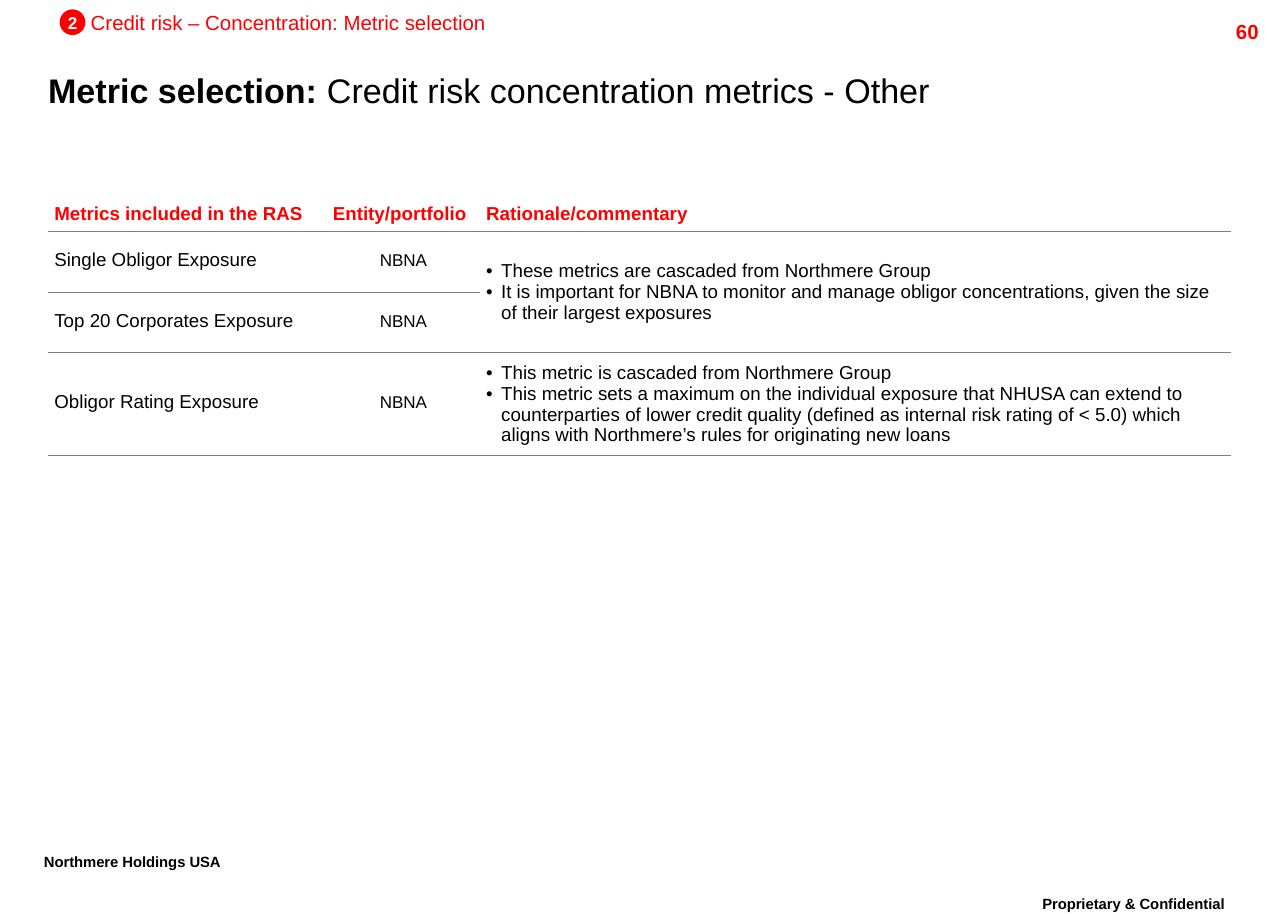
from lxml import etree
from pptx import Presentation
from pptx import util as u
from pptx.dml.color import RGBColor
from pptx.enum import shapes, text
from pptx.oxml import parse_xml
from pptx.oxml.ns import qn

Pt = u.Pt
RED, BLACK, WHITE, GREY = "FF0000", "000000", "FFFFFF", "7F7F7F"
NAMESPACE = 'xmlns:a="http://schemas.openxmlformats.org/drawingml/2006/main"'
NO_GRID_STYLE = "{2D5ABB26-0587-4C30-8999-92F81FD0307C}"


def color(hex_value):
    return RGBColor.from_string(hex_value)


def format_runs(paragraph, size, hex_value, bold=False):
    for run in paragraph.runs:
        run.font.name = "Arial"
        run.font.size = Pt(size)
        run.font.bold = bold
        run.font.color.rgb = color(hex_value)


presentation = Presentation()
presentation.slide_width = Pt(756)
presentation.slide_height = Pt(540)
slide = presentation.slides.add_slide(presentation.slide_layouts[5])

title = slide.shapes.title
title.left, title.top, title.width, title.height = Pt(21), Pt(40.5), Pt(735), Pt(28)
title.text_frame.text = "Metric selection: "
title.text_frame.vertical_anchor = text.MSO_ANCHOR.TOP
title.text_frame.auto_size = text.MSO_AUTO_SIZE.NONE
paragraph = title.text_frame.paragraphs[0]
paragraph.add_run().text = "Credit risk concentration metrics - Other"
paragraph.alignment = text.PP_ALIGN.LEFT
paragraph.line_spacing = 0.86
format_runs(paragraph, 20, BLACK)
paragraph.runs[0].font.bold = True

LEFT, CENTER, RIGHT = text.PP_ALIGN.LEFT, text.PP_ALIGN.CENTER, text.PP_ALIGN.RIGHT
labels = [
    ("Proprietary & Confidential", 586.8, 522.3, 157, 25, CENTER, 15, BLACK, True, True),
    ("Northmere Holdings USA", 18.7, 497.5, 137.5, 25, LEFT, 15, BLACK, True, True),
    ("60", 673.9, 7.9, 72, 17.3, RIGHT, 12, RED, True, False),
    ("Credit risk – Concentration: Metric selection", 53.3, 2.2, 288, 21.6, LEFT, 12, RED, False, False),
]
for wording, left, top, width, height, alignment, size, hex_value, bold, raised in labels:
    label = slide.shapes.add_textbox(Pt(left), Pt(top), Pt(width), Pt(height))
    label.text_frame.text = wording
    label.text_frame.word_wrap = True
    if alignment == LEFT and not raised:
        label.text_frame.margin_left = 0
    paragraph = label.text_frame.paragraphs[0]
    paragraph.alignment = alignment
    format_runs(paragraph, size, hex_value, bold)
    if raised:
        paragraph.line_spacing = 0.86
        paragraph.runs[0].font._element.set("baseline", "30000")

badge = slide.shapes.add_shape(shapes.MSO_SHAPE.OVAL, Pt(35), Pt(5.5), Pt(15.1), Pt(15.1))
badge.shadow.inherit = False
badge.fill.solid()
badge.fill.fore_color.rgb = color(RED)
badge.line.fill.background()
badge.text_frame.text = "2"
badge.text_frame.word_wrap = False
badge.text_frame.vertical_anchor = text.MSO_ANCHOR.MIDDLE
badge.text_frame.paragraphs[0].alignment = CENTER
format_runs(badge.text_frame.paragraphs[0], 10, WHITE, True)

rows = [
    ("Metrics included in the RAS", "Entity/portfolio", "Rationale/commentary"),
    ("Single Obligor Exposure", "NBNA",
     "These metrics are cascaded from Northmere Group\n"
     "It is important for NBNA to monitor and manage obligor concentrations, "
     "given the size of their largest exposures"),
    ("Top 20 Corporates Exposure", "NBNA", ""),
    ("Obligor Rating Exposure", "NBNA",
     "This metric is cascaded from Northmere Group\n"
     "This metric sets a maximum on the individual exposure that NHUSA can extend to "
     "counterparties of lower credit quality (defined as internal risk rating of < 5.0) "
     "which aligns with Northmere’s rules for originating new loans"),
]
column_widths = [163.5, 90, 441]
row_heights = [20.6, 35.7, 35.7, 60]

frame = slide.shapes.add_table(4, 3, Pt(28.3), Pt(115.2), Pt(sum(column_widths)), Pt(sum(row_heights)))
table = frame.table
table.first_row = False
table.horz_banding = False
table._tbl.tblPr.find(qn("a:tableStyleId")).text = NO_GRID_STYLE
for column, width in zip(table.columns, column_widths):
    column.width = Pt(width)
for row, height in zip(table.rows, row_heights):
    row.height = Pt(height)
table.cell(1, 2).merge(table.cell(2, 2))

for row_index, row in enumerate(rows):
    for column_index, wording in enumerate(row):
        cell = table.cell(row_index, column_index)
        cell.text_frame.text = wording
        cell.vertical_anchor = text.MSO_ANCHOR.MIDDLE
        cell.margin_left = cell.margin_right = cell.margin_top = cell.margin_bottom = Pt(3.6)
        border = parse_xml(
            f'<a:lnB {NAMESPACE} w="9525"><a:solidFill><a:srgbClr val="{GREY}"/></a:solidFill></a:lnB>')
        cell._tc.get_or_add_tcPr().append(border)
        cell.fill.solid()
        cell.fill.fore_color.rgb = color(WHITE)
        for paragraph in cell.text_frame.paragraphs:
            if row_index == 0:
                format_runs(paragraph, 11, RED, True)
            elif column_index == 2:
                properties = paragraph._p.get_or_add_pPr()
                properties.set("marL", str(Pt(8.8)))
                properties.set("indent", str(-Pt(8.8)))
                bullet_color = etree.SubElement(properties, qn("a:buClr"))
                etree.SubElement(bullet_color, qn("a:srgbClr"), val=BLACK)
                etree.SubElement(properties, qn("a:buFont"), typeface="Arial")
                etree.SubElement(properties, qn("a:buChar"), char="•")
                format_runs(paragraph, 11, BLACK)
            else:
                paragraph.alignment = CENTER if column_index == 1 else LEFT
                paragraph.line_spacing = Pt(10)
                format_runs(paragraph, 10 if column_index == 1 else 11, BLACK)

presentation.save("out.pptx")
